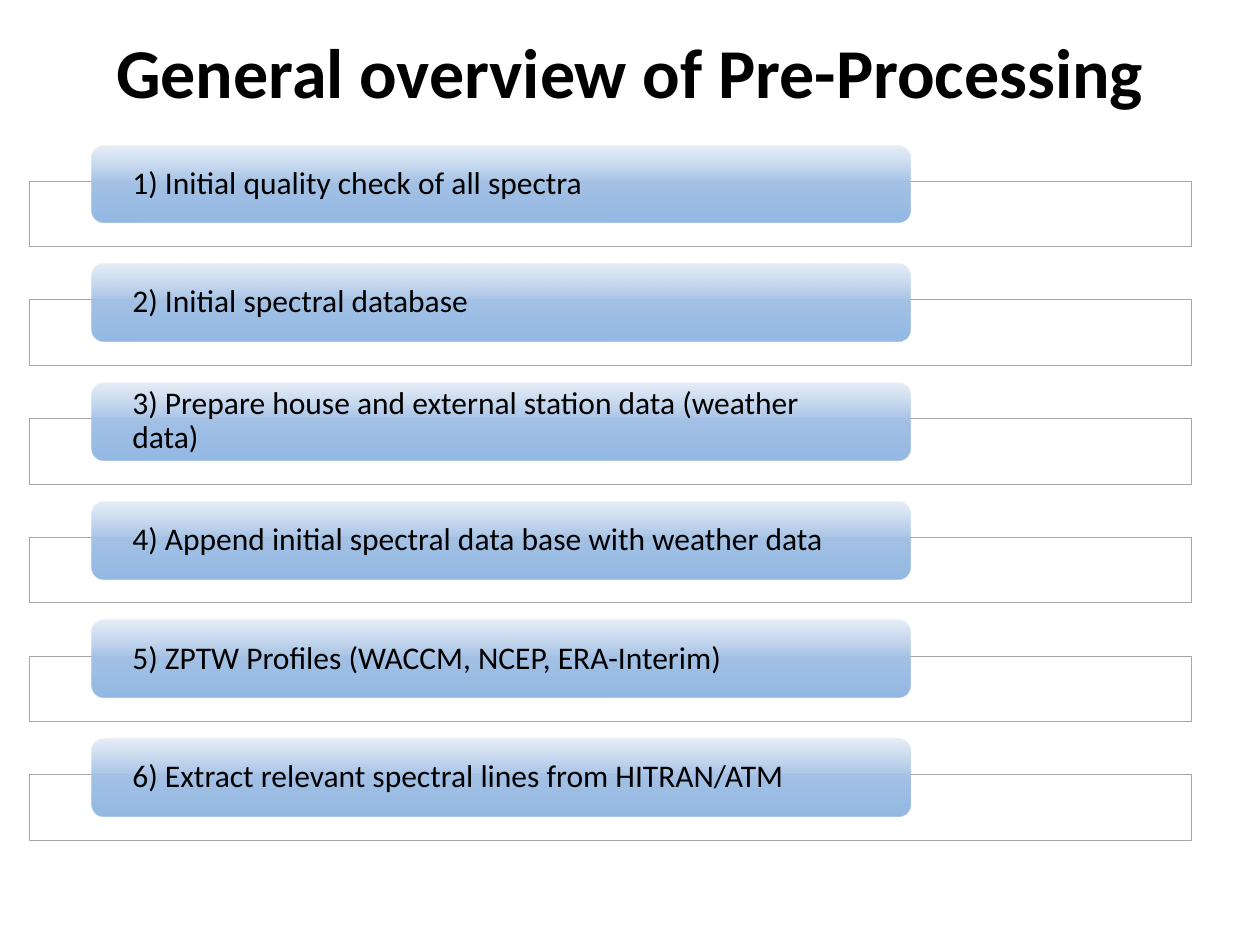
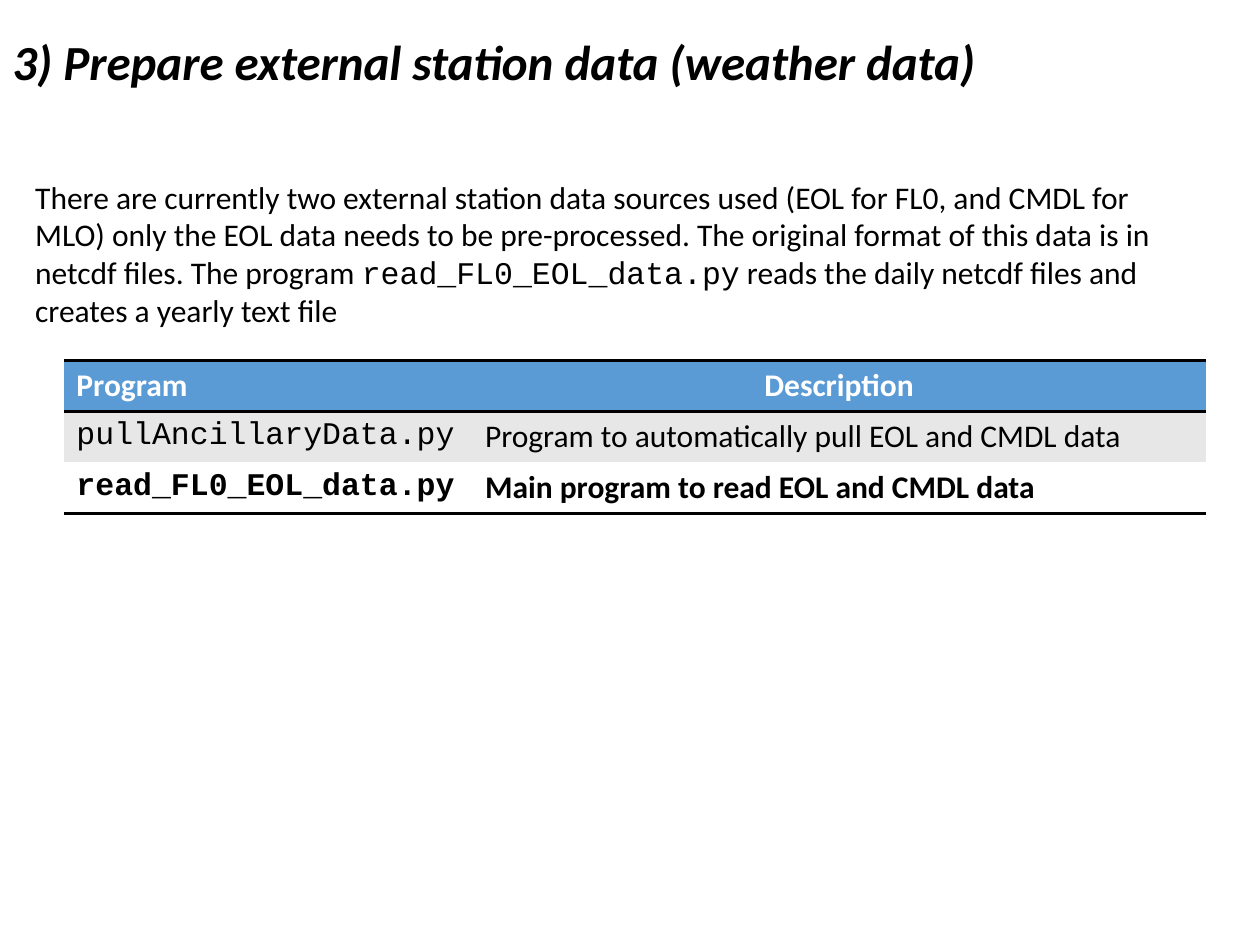
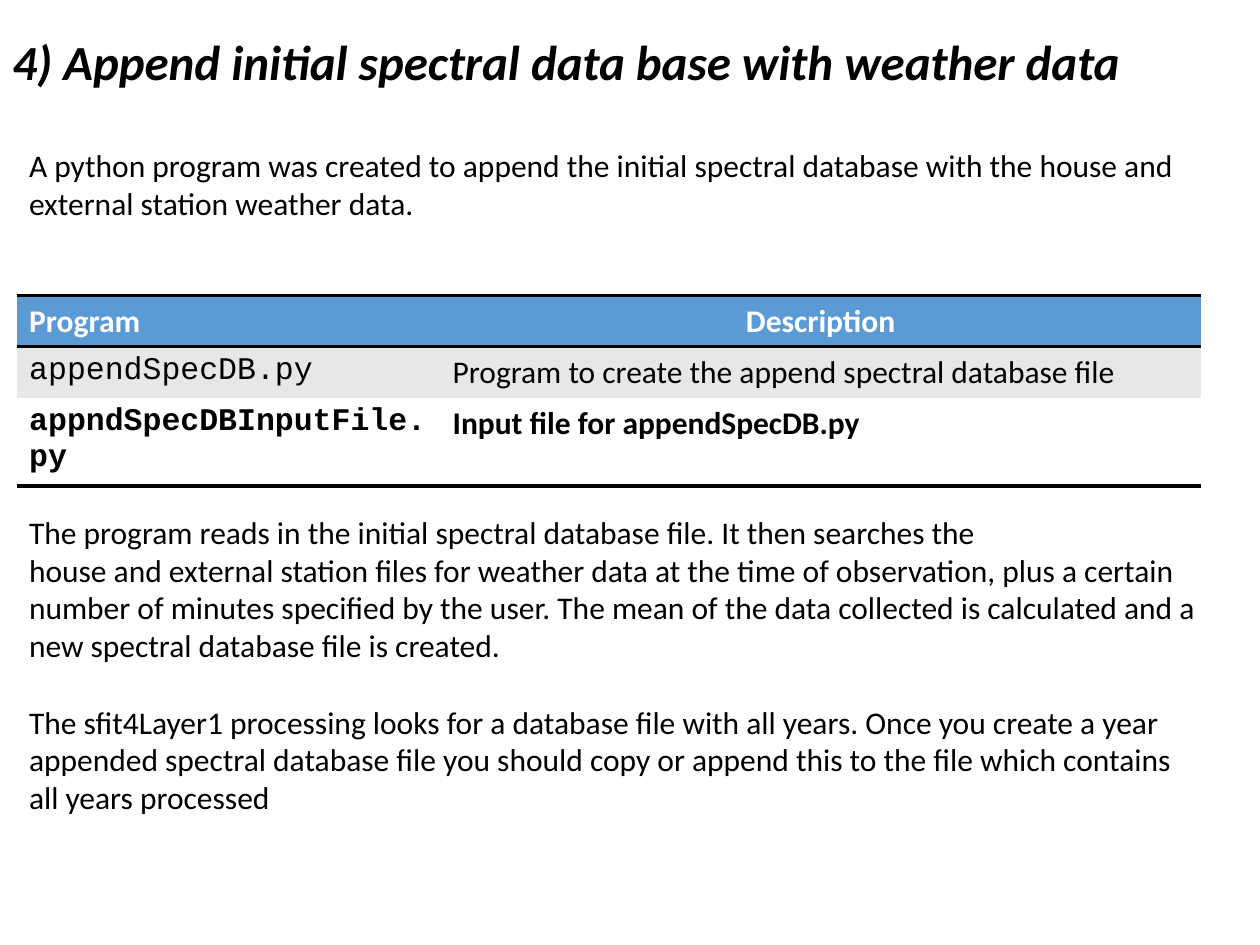
"""Build three slides on the pre-processing of spectra."""
from lxml import etree
from pptx import Presentation
from pptx.dml import color as col
from pptx.enum import shapes, text
from pptx.oxml import ns
from pptx import util as u

Pt = u.Pt
BLACK = col.RGBColor(0x00, 0x00, 0x00)
WHITE = col.RGBColor(0xFF, 0xFF, 0xFF)
GREY = col.RGBColor(0xA6, 0xA6, 0xA6)
BLUE = col.RGBColor(0x5B, 0x9B, 0xD5)
BAND = col.RGBColor(0xE7, 0xE7, 0xE7)
SHADES = (
    (0, col.RGBColor(0xB8, 0xCE, 0xEA), 34),
    (50, col.RGBColor(0xA3, 0xC1, 0xE5), 100),
    (100, col.RGBColor(0x93, 0xB9, 0xE4), 100),
)
SANS, MONO = "Calibri", "Courier New"
PLAIN = "{2D5ABB26-0587-4C30-8999-92F81FD0307C}"
ROW = 29.16

STEPS = (
    "1) Initial quality check of all spectra",
    "2) Initial spectral database",
    "3) Prepare house and external station data (weather data)",
    "4) Append initial spectral data base with weather data",
    "5) ZPTW Profiles (WACCM, NCEP, ERA-Interim)",
    "6) Extract relevant spectral lines from HITRAN/ATM",
)


def node(parent, tag, **attrs):
    item = etree.SubElement(parent, ns.qn(tag))
    for name, value in attrs.items():
        item.set(name, str(value))
    return item


def tint(parent, shade, alpha=100):
    paint = node(parent, "a:srgbClr", val=shade)
    if alpha < 100:
        node(paint, "a:alpha", val=alpha * 1000)


def style(para, size=18, face=SANS, shade=BLACK, bold=False, slant=False):
    font = para.font
    font.size, font.name = Pt(size), face
    font.bold, font.italic = bold, slant
    font.color.rgb = shade


def frame(slide, left, top, width, height):
    box = slide.shapes.add_textbox(Pt(left), Pt(top), Pt(width), Pt(height))
    box.text_frame.word_wrap = True
    return box.text_frame


def title(slide, words, size=28, slant=True, align=text.PP_ALIGN.LEFT):
    para = frame(slide, 0, 18, 720, 60.5).paragraphs[0]
    para.text = words
    para.alignment, para.line_spacing = align, 0.9
    style(para, size, bold=True, slant=slant)


def fill(para, words):
    """Add runs to a paragraph, with the parts between backticks as code."""
    for num, part in enumerate(words.split("`")):
        run = para.add_run()
        run.text = part
        if num % 2:
            run.font.name = MONO


def body(slide, box, *blocks):
    area = frame(slide, *box)
    fresh = True
    for block in blocks:
        for num, line in enumerate(block):
            para = area.paragraphs[0] if fresh else area.add_paragraph()
            if num == 0 and not fresh:
                para.space_before = Pt(22)
            fresh = False
            fill(para, line)
            style(para)


def shape(slide, kind, left, top, width, height):
    item = slide.shapes.add_shape(kind, Pt(left), Pt(top), Pt(width), Pt(height))
    item.shadow.inherit = False
    return item


def frost(slide, top):
    item = shape(slide, shapes.MSO_SHAPE.RECTANGLE, 17, top, 664, 37.5)
    item.fill.solid()
    item.fill.fore_color.rgb = WHITE
    paint = item.fill._xPr.find(ns.qn("a:solidFill"))[0]
    node(paint, "a:alpha", val=90000)
    item.line.color.rgb, item.line.width = GREY, Pt(0.5)


def shade(item):
    props = item._element.spPr
    grad = etree.Element(ns.qn("a:gradFill"), rotWithShape="1")
    stops = node(grad, "a:gsLst")
    for place, tone, alpha in SHADES:
        tint(node(stops, "a:gs", pos=place * 1000), tone, alpha)
    node(grad, "a:lin", ang=90 * 60000, scaled=0)
    props.find(ns.qn("a:prstGeom")).addnext(grad)


def pill(slide, top, words):
    item = shape(slide, shapes.MSO_SHAPE.ROUNDED_RECTANGLE, 52.5, top, 467.5, 44.25)
    item.line.fill.background()
    shade(item)
    area = item.text_frame
    area.word_wrap = True
    area.vertical_anchor = text.MSO_ANCHOR.MIDDLE
    area.margin_left = area.margin_right = Pt(21)
    area.margin_top = area.margin_bottom = 0
    para = area.paragraphs[0]
    para.text = words
    para.alignment, para.line_spacing = text.PP_ALIGN.LEFT, 0.9
    style(para)


def edge(cell, tag):
    line = etree.Element(ns.qn(tag), w=str(Pt(2)))
    tint(node(line, "a:solidFill"), BLACK)
    cell._tc.get_or_add_tcPr().insert(0, line)


def grid(slide, left, top, widths, rows):
    """Draw a program table with a blue head, a grey row and a bold row."""
    item = slide.shapes.add_table(
        len(rows) + 1, len(widths), Pt(left), Pt(top),
        Pt(sum(widths)), Pt(ROW * (len(rows) + 1)))
    table = item.table
    table.horz_banding = False
    item._element.find(".//" + ns.qn("a:tableStyleId")).text = PLAIN
    for num, width in enumerate(widths):
        table.columns[num].width = Pt(width)
    for r, line in enumerate((("Program", "Description"), *rows)):
        head, last = r == 0, r == len(rows)
        table.rows[r].height = Pt(ROW)
        for c, words in enumerate(line):
            cell = table.cell(r, c)
            cell.fill.solid()
            cell.fill.fore_color.rgb = BLUE if head else BAND if r % 2 else WHITE
            para = cell.text_frame.paragraphs[0]
            para.text = words
            if head and c:
                para.alignment = text.PP_ALIGN.CENTER
            style(para, face=SANS if head or c else MONO,
                  shade=WHITE if head else BLACK, bold=head or last)
            if head or last:
                edge(cell, "a:lnB")
            if head:
                edge(cell, "a:lnT")


def main():
    deck = Presentation()
    deck.slide_width, deck.slide_height = Pt(720), Pt(540)
    first, second, third = (
        deck.slides.add_slide(deck.slide_layouts[6]) for _ in range(3))

    title(first, "General overview of Pre-Processing", 40, False,
          text.PP_ALIGN.CENTER)
    for num, step in enumerate(STEPS):
        top = 83 + num * 67.85
        frost(first, top + 20.5)
        pill(first, top, step)

    title(second, "3) Prepare external station data (weather data)")
    body(second, (13, 98, 697, 94.5), (
        "There are currently two external station data sources used (EOL for FL0, and CMDL for",
        "MLO) only the EOL data needs to be pre-processed. The original format of this data is in",
        "netcdf files. The program `read_FL0_EOL_data.py` reads the daily netcdf files and "
        "creates a yearly text file",
    ))
    grid(second, 36.5, 206, (233.5, 419), (
        ("pullAncillaryData.py", "Program to automatically pull EOL and CMDL data"),
        ("read_FL0_EOL_data.py", "Main program to read EOL and CMDL data"),
    ))

    title(third, STEPS[3])
    body(third, (9.5, 80, 697, 51), (
        "A python program was created to append the initial spectral database "
        "with the house and external station weather data.",
    ))
    grid(third, 9.5, 169, (242, 435), (
        ("appendSpecDB.py", "Program to create the append spectral database file"),
        ("appndSpecDBInputFile.py", "Input file for appendSpecDB.py"),
    ))
    body(third, (9.5, 289.5, 710, 181.5), (
        "The program reads in the initial spectral database file. It then searches the",
        "house and external station files for weather data at the time of observation, plus a certain",
        "number of minutes specified by the user. The mean of the data collected is calculated and a",
        "new spectral database file is created.",
    ), (
        "The sfit4Layer1 processing looks for a database file with all years. Once you create a year",
        "appended spectral database file you should copy or append this to the file which contains",
        "all years processed",
    ))
    deck.save("out.pptx")


if __name__ == "__main__":
    main()
